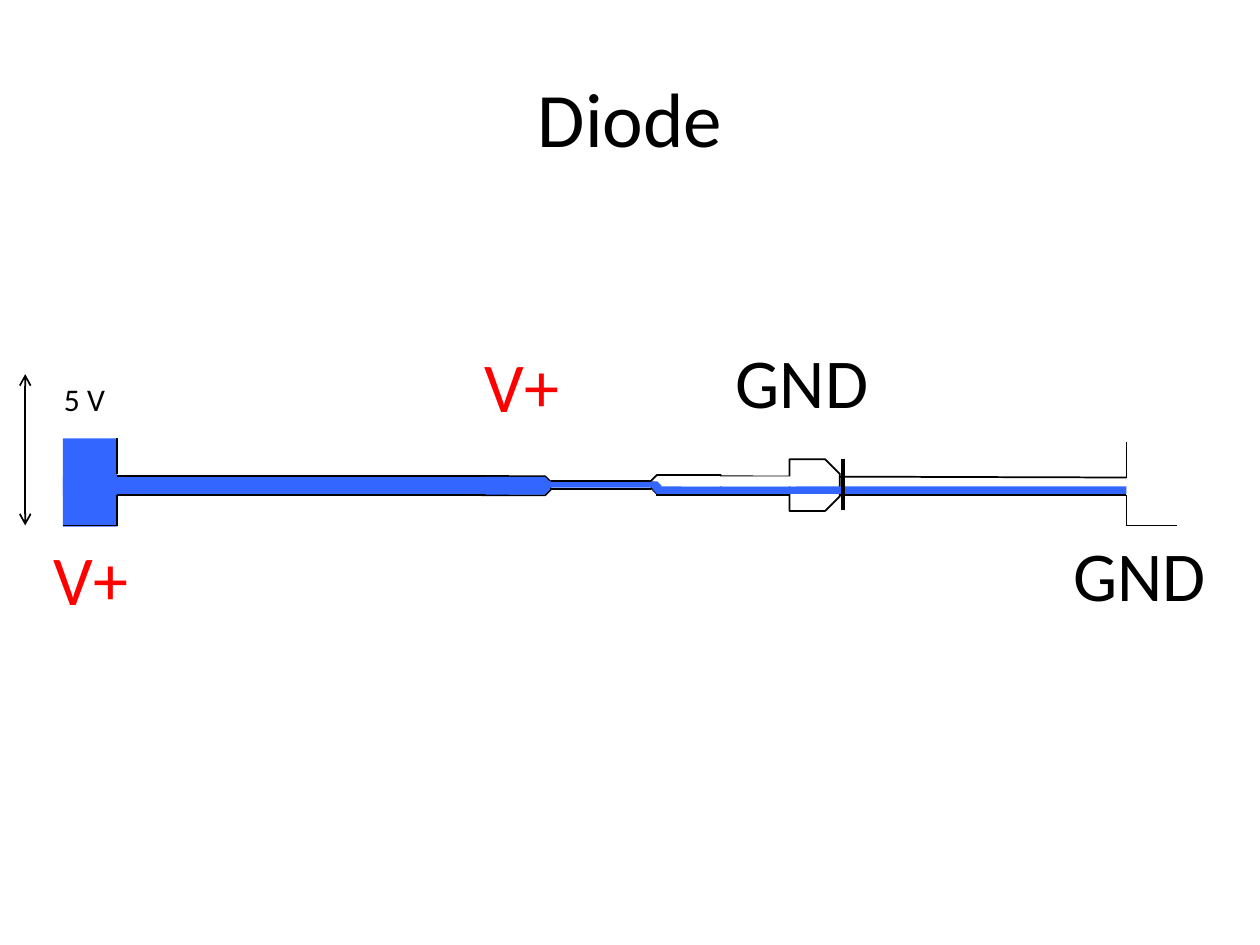
from lxml.etree import SubElement
from pptx import Presentation
from pptx.dml.color import RGBColor
from pptx.enum.shapes import MSO_CONNECTOR, MSO_SHAPE
from pptx.enum.text import MSO_ANCHOR, MSO_AUTO_SIZE, PP_ALIGN
from pptx.oxml.ns import qn
from pptx.util import Inches, Pt

BLACK = RGBColor(0, 0, 0)
WHITE = RGBColor(255, 255, 255)
RED = RGBColor(255, 0, 0)
BLUE = RGBColor(0x33, 0x66, 0xFF)
SNIP = MSO_SHAPE.SNIP_2_SAME_RECTANGLE
BEVEL = (0.29, 0)

# The grid has 100 columns and 75 rows
COLS, ROWS = 100, 75
TOP, LOW, BASE = 37.8, 39.3, 41.7  # channel walls and floor
LEFT, RIGHT = 9.3, 89.4            # ends of the channel


class Board:
    font = "Calibri"

    def __init__(self):
        self.deck = Presentation()
        self.deck.slide_width = Inches(10)
        self.deck.slide_height = Inches(7.5)
        self.slide = self.deck.slides.add_slide(self.deck.slide_layouts[5])
        self.shapes = self.slide.shapes

    def cells(self, x, y):
        return (round(self.deck.slide_width * x / COLS),
                round(self.deck.slide_height * y / ROWS))

    def style(self, shape, text, size, color, align):
        frame = shape.text_frame
        frame.text = text
        par = frame.paragraphs[0]
        par.alignment = align
        font = par.runs[0].font
        font.name, font.size = self.font, Pt(size)
        font.color.rgb = color

    def title(self, text, x, y, w, h):
        shape = self.shapes.title
        shape.left, shape.top = self.cells(x, y)
        shape.width, shape.height = self.cells(w, h)
        shape.text_frame.vertical_anchor = MSO_ANCHOR.MIDDLE
        self.style(shape, text, 44, BLACK, PP_ALIGN.CENTER)

    def label(self, text, x, y, w, h, color=BLACK, size=40,
              align=PP_ALIGN.CENTER, wrap=True):
        box = self.shapes.add_textbox(*self.cells(x, y), *self.cells(w, h))
        box.text_frame.word_wrap = wrap
        box.text_frame.auto_size = MSO_AUTO_SIZE.SHAPE_TO_FIT_TEXT
        self.style(box, text, size, color, align)

    def block(self, x, y, w, h, fill=None, line=None, kind=MSO_SHAPE.RECTANGLE,
              adjust=(), turn=0, flip=False):
        shape = self.shapes.add_shape(kind, *self.cells(x, y), *self.cells(w, h))
        shape.shadow.inherit = False
        for i, value in enumerate(adjust):
            shape.adjustments[i] = value
        shape.rotation = turn
        if flip:
            shape._element.spPr.find(qn("a:xfrm")).set("flipH", "1")
        if fill is None:
            shape.fill.background()
        else:
            shape.fill.solid()
            shape.fill.fore_color.rgb = fill
        if line is None:
            shape.line.fill.background()
        else:
            shape.line.color.rgb = line
            shape.line.width = Pt(1)

    def wire(self, x1, y1, x2, y2, width=1, arrows=False):
        wire = self.shapes.add_connector(
            MSO_CONNECTOR.STRAIGHT, *self.cells(x1, y1), *self.cells(x2, y2))
        wire.line.color.rgb = BLACK
        wire.line.width = Pt(width)
        if arrows:
            line = wire.line._get_or_add_ln()
            for end in ("a:headEnd", "a:tailEnd"):
                SubElement(line, qn(end)).set("type", "arrow")
        SubElement(wire._element.spPr, qn("a:effectLst"))


def main():
    board = Board()
    board.title("Diode", 5, 3, 90, 12.5)

    # Upper wall on the ground side, and the two necks
    board.wire(57.2, TOP, RIGHT, 37.9)
    board.block(53.7, 35.7, 1.5, 5.5, None, BLACK, SNIP, BEVEL, 270, True)
    board.block(40.2, 35.8, 1.5, 5.5, None, BLACK, SNIP, BEVEL, 90)

    # Supply tank and full channel
    board.block(5, 34.8, 4.3, 7, BLUE)
    board.block(5, TOP, 34.4, 1.5, BLUE)

    # Walls of the supply and ground tanks
    for ends in ((5, BASE, 9.4, BASE), (RIGHT, LOW, RIGHT, BASE),
                 (RIGHT, BASE, 93.4, BASE), (LEFT, LOW, 40.4, LOW),
                 (LEFT, TOP, 40.4, TOP), (LEFT, LOW, LEFT, BASE),
                 (LEFT, 34.8, LEFT, 37.6), (RIGHT, 35.1, RIGHT, 37.9)):
        board.wire(*ends)

    # Voltage scale and tank labels
    board.wire(2, 29.7, 2, BASE, arrows=True)
    board.label("5 V", 4.1, 29.7, 5.3, 4, size=18,
                align=PP_ALIGN.LEFT, wrap=False)
    board.label("V+", 0.8, 42, 12.8, 7.7, RED)
    board.label("GND", 82.5, 41.7, 15.9, 7.7)
    board.wire(52.1, LOW, RIGHT, LOW)

    # Narrow channel between the necks
    board.block(40.4, 36, 1.4, 5.1, BLUE, None, SNIP, BEVEL, 90)
    board.block(42.8, 38.2, 9.1, 0.5, BLUE)
    for y in (38.2, 38.8):
        board.wire(43.7, y, 51.7, y)
    board.block(51.8, 38.2, 0.7, 1, BLUE, None,
                MSO_SHAPE.SNIP_2_DIAG_RECTANGLE, (0, 0.5))

    # Diode with the shallow flow through it
    board.block(62.6, 36.5, 4.1, 4, WHITE, BLACK, SNIP, BEVEL, 90)
    board.block(52.2, 38.6, 37.2, 0.6, BLUE)
    board.block(54.1, TOP, 9.1, 0.8, WHITE)
    board.wire(66.9, 36.4, 66.9, 40.5, 2)

    # Labels on both sides of the narrow channel
    board.label("V+", 35, 26.7, 12.8, 7.7, RED)
    board.label("GND", 55.7, 26.4, 15.9, 7.7)
    board.deck.save("out.pptx")


if __name__ == "__main__":
    main()
